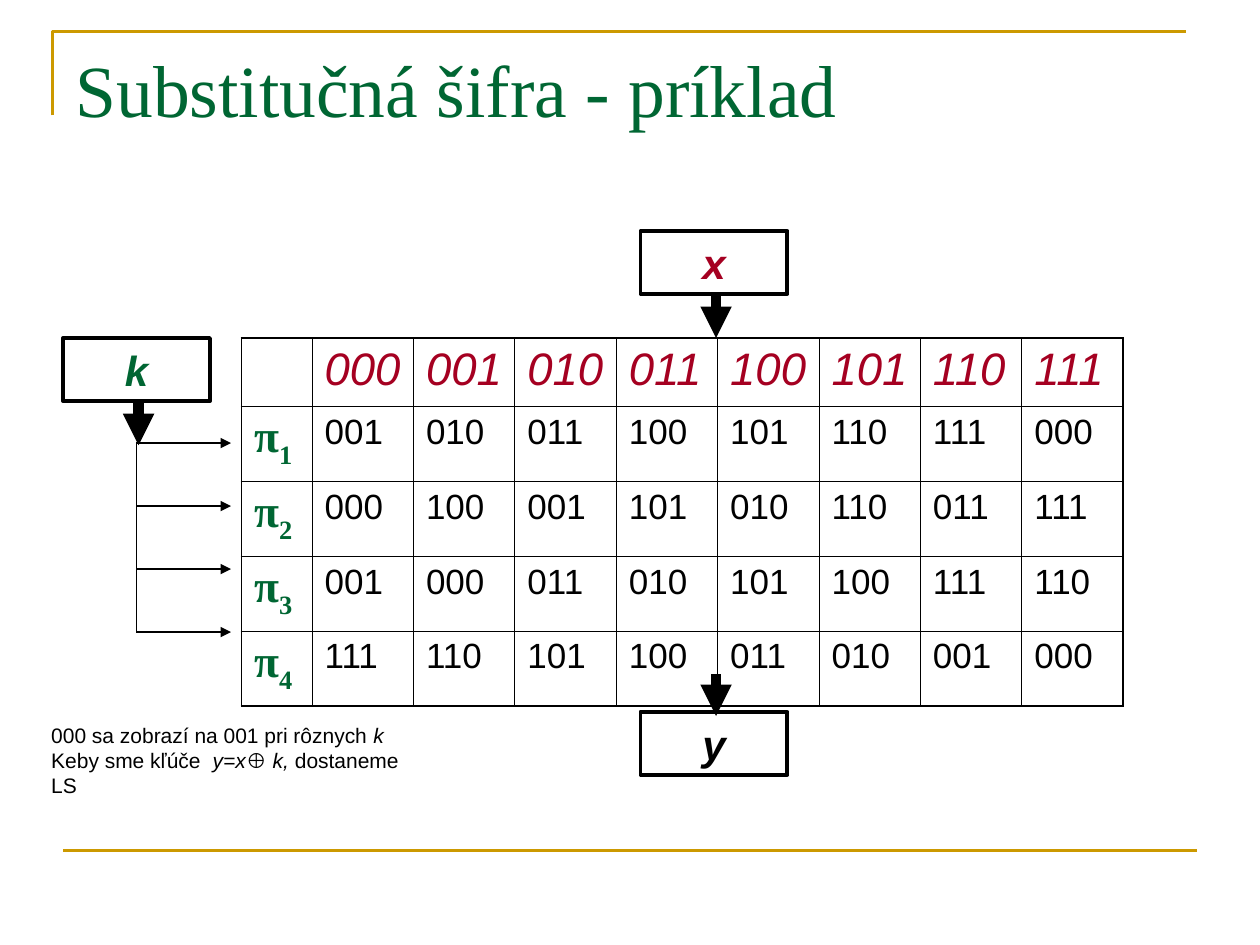
from lxml.etree import SubElement
from pptx import Presentation
from pptx.dml.color import RGBColor
from pptx.enum.shapes import MSO_CONNECTOR as Connector, MSO_SHAPE as Shape
from pptx.enum.text import MSO_ANCHOR as Anchor, MSO_AUTO_SIZE as AutoSize, PP_ALIGN as Align
from pptx.oxml.ns import qn
from pptx.util import Inches, Pt

COLUMNS, ROWS = 120, 90
BLACK, GREEN, RED, GOLD = "000000", "006633", "A50021", "CC9900"
INPUTS = "000 001 010 011 100 101 110 111"
PERMUTATIONS = [
    "001 010 011 100 101 110 111 000",
    "000 100 001 101 010 110 011 111",
    "001 000 011 010 101 100 111 110",
    "111 110 101 100 011 010 001 000",
]
HEADING = {"size": Pt(26), "name": "Arial", "italic": True}
KEY = {"size": Pt(26), "name": "Times New Roman", "bold": True}
VALUE = {"size": Pt(20), "name": "Arial"}
LABEL = {"size": Pt(24), "name": "Arial", "bold": True, "italic": True}
NOTE = {"size": Pt(12), "name": "Arial"}
NOTE_LINES = [
    [("000 sa zobrazí na 001 pri rôznych ", False), ("k", True)],
    [("Keby sme kľúče  ", False), ("y=x⊕ k, ", True), ("dostaneme LS", False)],
]


def grid(*cells):
    """Turn grid steps of a twelfth of an inch into lengths."""
    return [Inches(cell / 12) for cell in cells]


def color(value):
    """Return the colour for a hex string."""
    return RGBColor.from_string(value)


def write(paragraph, text, style, tint, **extra):
    """Add a formatted run to a paragraph."""
    run = paragraph.add_run()
    run.text = text
    for attribute, value in {**style, **extra}.items():
        setattr(run.font, attribute, value)
    run.font.color.rgb = color(tint)
    return run


def add_title(slide, text):
    """Place and format the title placeholder."""
    title = slide.shapes.title
    title.left, title.top, title.width, title.height = grid(6, 3.6, 108, 15)
    frame = title.text_frame
    frame.auto_size, frame.vertical_anchor = AutoSize.NONE, Anchor.TOP
    frame.paragraphs[0].alignment = Align.LEFT
    write(frame.paragraphs[0], text, {"size": Pt(42), "name": "Times New Roman"}, GREEN)


def add_line(slide, start, end, width, tint=BLACK, arrow=False):
    """Draw a straight line, with an arrowhead at its end if asked."""
    line = slide.shapes.add_connector(Connector.STRAIGHT, *grid(*start, *end))
    line.line.width = Pt(width)
    line.line.color.rgb = color(tint)
    if arrow:
        SubElement(line.line._get_or_add_ln(), qn("a:tailEnd"), type="triangle")
    SubElement(line._element.spPr, qn("a:effectLst"))


def add_corner(slide):
    """Draw the golden corner beside the title."""
    (left, low), *turns = [grid(5, 11), grid(5, 3), grid(113, 3)]
    builder = slide.shapes.build_freeform(left, low)
    builder.add_line_segments(turns, close=False)
    corner = builder.convert_to_shape()
    corner.shadow.inherit = False
    corner.fill.background()
    corner.line.color.rgb = color(GOLD)
    corner.line.width = Pt(1.5)


def add_label(slide, left, top, letter, tint):
    """Draw a framed box with one variable."""
    box = slide.shapes.add_shape(Shape.RECTANGLE, *grid(left, top, 14, 6))
    box.shadow.inherit = False
    box.fill.background()
    box.line.color.rgb = color(BLACK)
    box.line.width = Pt(2.25)
    paragraph = box.text_frame.paragraphs[0]
    paragraph.alignment = Align.CENTER
    write(paragraph, letter, LABEL, tint)


def add_border(cell, side, width):
    """Give one side of a cell a black border."""
    edge = SubElement(cell._tc.get_or_add_tcPr(), qn(f"a:ln{side}"), w=str(Pt(width)))
    fill = SubElement(edge, qn("a:solidFill"))
    SubElement(fill, qn("a:srgbClr"), val=BLACK)


def add_substitutions(slide):
    """Build the table of permutations, one row for each key."""
    rows = [["", *INPUTS.split()]]
    rows += [[f"π{number}", *line.split()] for number, line in enumerate(PERMUTATIONS, 1)]
    last_row, last_column = len(rows) - 1, len(rows[0]) - 1
    frame = slide.shapes.add_table(len(rows), len(rows[0]), *grid(23, 32.2, 84, 35))
    table = frame.table
    table.first_row = table.horz_banding = False
    for index, column in enumerate(table.columns):
        column.width = Inches(0.805 if index else 0.56)
    for index, row in enumerate(table.rows):
        row.height = Inches(0.595 if index else 0.54)
    for r, texts in enumerate(rows):
        for c, text in enumerate(texts):
            cell = table.cell(r, c)
            outer = {"L": c == 0, "R": c == last_column, "T": r == 0, "B": r == last_row}
            for side, is_outer in outer.items():
                add_border(cell, side, 1.08 if is_outer else 0.45)
            cell.fill.background()
            paragraph = cell.text_frame.paragraphs[0]
            if r and c:
                write(paragraph, text, VALUE, BLACK)
            elif c:
                write(paragraph, text, HEADING, RED)
            elif r:
                write(paragraph, text[0], KEY, GREEN)
                index = write(paragraph, text[1:], KEY, GREEN)
                index.font._element.set("baseline", "-25000")


def add_key_branches(slide):
    """Draw the arrows that lead from the key to each permutation."""
    first, gap = 42.2, 6
    levels = [first + gap * step for step in range(len(PERMUTATIONS))]
    for level in levels:
        add_line(slide, (13, level), (22, level), 0.75, arrow=True)
    add_line(slide, (13, levels[0]), (13, levels[-1]), 0.75)


def add_note(slide):
    """Write the remark under the table."""
    frame = slide.shapes.add_textbox(*grid(3.7, 68.2, 38, 8)).text_frame
    frame.word_wrap = True
    for index, parts in enumerate(NOTE_LINES):
        paragraph = frame.add_paragraph() if index else frame.paragraphs[0]
        for text, italic in parts:
            write(paragraph, text, NOTE, BLACK, italic=italic)


def main():
    """Build the slide and save it."""
    deck = Presentation()
    deck.slide_width, deck.slide_height = grid(COLUMNS, ROWS)
    slide = deck.slides.add_slide(deck.slide_layouts[5])
    add_corner(slide)
    add_line(slide, (6, 81), (114, 81), 1.5, GOLD)
    add_title(slide, "Substitučná šifra - príklad")
    add_substitutions(slide)
    for column, row in [(68.2, 28.2), (13.2, 38.4), (68.2, 64.2)]:
        add_line(slide, (column, row), (column, row + 4), 6, arrow=True)
    for left, top, letter, tint in [(61, 22, "x", RED), (6, 32.2, "k", GREEN), (61, 67.8, "y", BLACK)]:
        add_label(slide, left, top, letter, tint)
    add_key_branches(slide)
    add_note(slide)
    deck.save("out.pptx")


if __name__ == "__main__":
    main()
